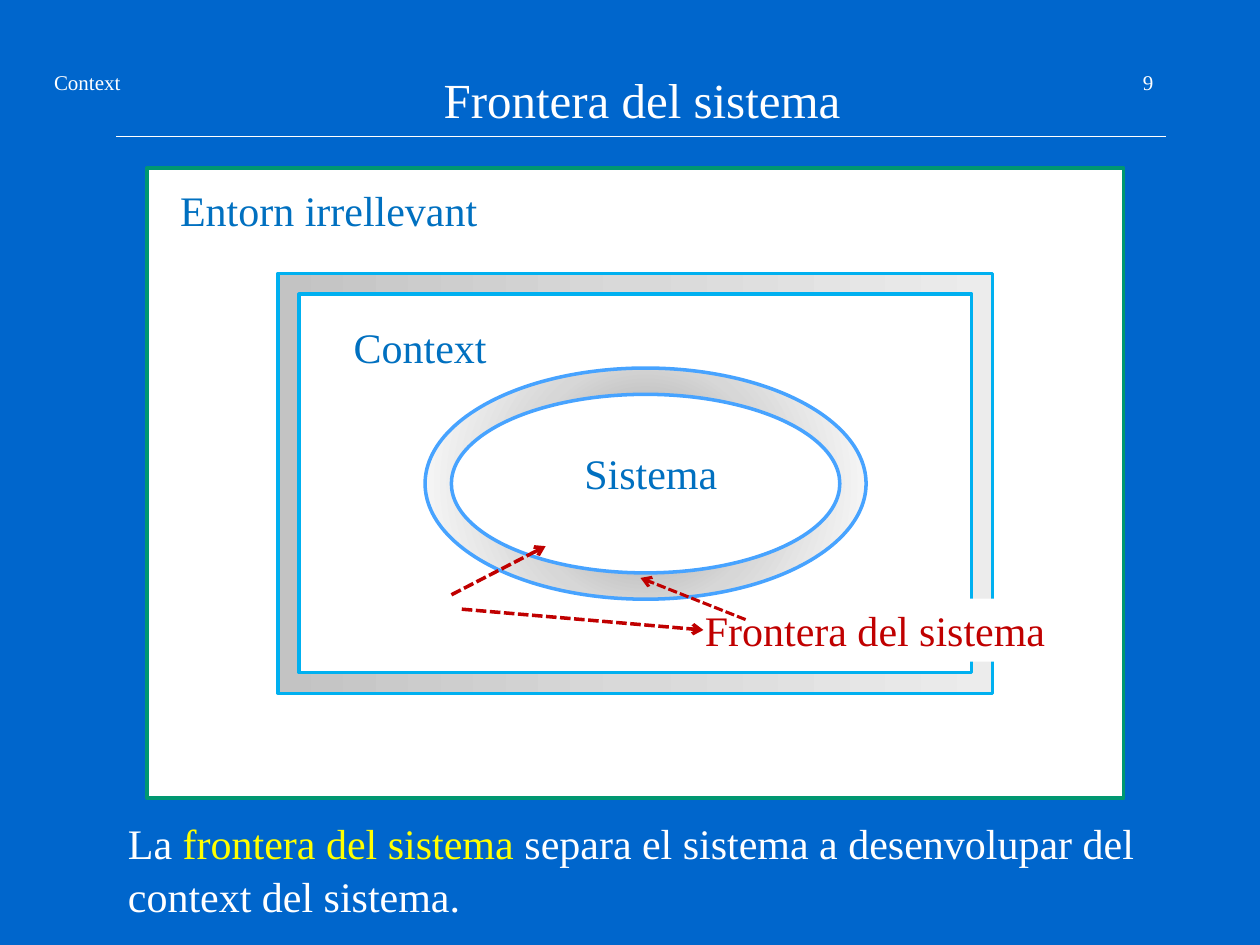
from pptx import Presentation
from pptx.dml.color import RGBColor
from pptx.enum.dml import MSO_LINE
from pptx.enum.shapes import MSO_CONNECTOR, MSO_SHAPE
from pptx.enum.text import MSO_ANCHOR, MSO_AUTO_SIZE, PP_ALIGN
from pptx.oxml import parse_xml
from pptx.oxml.ns import nsdecls, qn
from pptx.util import Cm, Pt

FONT = "Times New Roman"
COLORS = {
    "background": "0066CC", "white": "FFFFFF", "panel": "009771",
    "context": "00B0F0", "system": "47A3FF", "label": "0070C0",
    "boundary": "C00000", "highlight": "FFFF00",
}
CONTEXT_STOPS = {0: "C3C3C3", 50: "D9D9D9", 100: "ECECEC"}
SYSTEM_STOPS = {0: "979797", 50: "D7D7D7", 100: "FFFFFF"}
LINEAR = '<a:lin ang="0" scaled="0"/>'
RADIAL = '<a:path path="circle"><a:fillToRect l="50000" t="50000" r="50000" b="50000"/></a:path>'


def color(name):
    """Return the named colour."""
    return RGBColor.from_string(COLORS[name])


def place(parent, left, top, width, height):
    """Return a box given relative to the corner of its parent box."""
    return parent[0] + left, parent[1] + top, width, height


def inset(box, margin):
    """Return the box shrunk by the margin on every side."""
    left, top, width, height = box
    return left + margin, top + margin, width - 2 * margin, height - 2 * margin


def write(frame, *pieces, size=24, align=PP_ALIGN.LEFT, wrap=False, spacing=1.0):
    """Fill a text frame with (text, colour name) pieces."""
    frame.word_wrap = wrap
    frame.auto_size = MSO_AUTO_SIZE.NONE
    frame.vertical_anchor = MSO_ANCHOR.TOP
    para = frame.paragraphs[0]
    para.alignment = align
    para.line_spacing = spacing
    for text, name in pieces:
        span = para.add_run()
        span.text = text
        span.font.name = FONT
        span.font.size = Pt(size)
        span.font.color.rgb = color(name)


def add_text(shapes, box, *pieces, fill=None, **style):
    """Add a text box, with a solid fill if one is named."""
    text_box = shapes.add_textbox(*map(Cm, box))
    if fill:
        text_box.fill.solid()
        text_box.fill.fore_color.rgb = color(fill)
    write(text_box.text_frame, *pieces, **style)


def add_area(shapes, kind, box, outline, stops=None, direction=LINEAR):
    """Add an outlined shape, white or filled with a gradient."""
    area = shapes.add_shape(kind, *map(Cm, box))
    area.shadow.inherit = False
    area.line.color.rgb = color(outline)
    area.line.width = Pt(2)
    area.fill.solid()
    area.fill.fore_color.rgb = color("white")
    if stops:
        marks = "".join(
            f'<a:gs pos="{place * 1000}"><a:srgbClr val="{value}"/></a:gs>'
            for place, value in stops.items()
        )
        gradient = parse_xml(
            f'<a:gradFill {nsdecls("a")} rotWithShape="1">'
            f"<a:gsLst>{marks}</a:gsLst>{direction}</a:gradFill>"
        )
        properties = area.fill._xPr
        properties.replace(properties.find(qn("a:solidFill")), gradient)


def add_line(shapes, start, end, name, width, arrow=False):
    """Add a straight line, or a dashed arrow."""
    line = shapes.add_connector(MSO_CONNECTOR.STRAIGHT, *map(Cm, (*start, *end)))
    line.line.color.rgb = color(name)
    line.line.width = Pt(width)
    if arrow:
        line.line.dash_style = MSO_LINE.SQUARE_DOT
        line.line._get_or_add_ln().append(
            parse_xml(f'<a:tailEnd {nsdecls("a")} type="arrow"/>')
        )
    line._element.spPr.append(parse_xml(f'<a:effectLst {nsdecls("a")}/>'))


def add_header(page, box):
    """Place the section name, title, page number and rule."""
    left, top, width, height = box
    add_line(page.shapes, (left + 1.5, top + height), (left + width, top + height), "white", 0.75)
    add_text(page.shapes, place(box, 0, 0, 1.98, 0.76), ("Context", "white"), size=12)
    add_text(page.shapes, place(box, width - 3.81, 0, 3.81, 0.64), ("9", "white"),
             size=12, align=PP_ALIGN.RIGHT, wrap=True)
    title = page.shapes.title
    title.left, title.top, title.width, title.height = map(Cm, place(box, 7.85, 0, 8.59, 1.45))
    write(title.text_frame, ("Frontera del sistema", "white"), size=28)


def add_context(page, box):
    """Place the context frame around the system ring."""
    shapes = page.shapes.add_group_shape().shapes
    add_area(shapes, MSO_SHAPE.RECTANGLE, box, "context", CONTEXT_STOPS)
    add_area(shapes, MSO_SHAPE.RECTANGLE, inset(box, 0.42), "context")
    add_text(shapes, place(box, 1.27, 0.85, 3.23, 1.27), ("Context", "label"))
    ring = place(box, 2.96, 1.91, 8.89, 4.66)
    add_area(shapes, MSO_SHAPE.OVAL, ring, "system", SYSTEM_STOPS, RADIAL)
    add_area(shapes, MSO_SHAPE.OVAL, inset(ring, 0.53), "system")
    add_text(shapes, place(box, 5.92, 3.39, 3.23, 1.27), ("Sistema", "label"))


def add_diagram(page, box):
    """Place the environment panel, its context and the boundary arrows."""
    add_area(page.shapes, MSO_SHAPE.RECTANGLE, box, "panel")
    add_context(page, place(box, 2.65, 2.12, 14.4, 8.47))
    add_text(page.shapes, place(box, 0.42, 0.21, 6.55, 1.27), ("Entorn irrellevant", "label"))
    add_text(page.shapes, place(box, 11, 8.68, 7.44, 1.27),
             ("Frontera del sistema", "boundary"), fill="white")
    arrows = [
        ((12.07, 9.1), (9.95, 8.26), 1.75),
        ((6.14, 8.6), (8.04, 7.62), 2),
        ((6.35, 8.89), (11.22, 9.31), 2),
    ]
    for start, end, width in arrows:
        add_line(page.shapes, place(box, *start, 0, 0)[:2], place(box, *end, 0, 0)[:2],
                 "boundary", width, arrow=True)


def add_definition(page, box):
    """Place the sentence that defines the boundary."""
    add_text(page.shapes, box, ("La ", "white"), ("frontera del sistema", "highlight"),
             (" separa el sistema a desenvolupar del context del sistema.", "white"),
             wrap=True, spacing=1.05)


def main():
    """Build and save the deck."""
    deck = Presentation()
    deck.slide_width, deck.slide_height = Cm(25.4), Cm(19.05)
    page = deck.slides.add_slide(deck.slide_layouts[5])
    page.background.fill.solid()
    page.background.fill.fore_color.rgb = color("background")
    add_header(page, (0.84, 1.27, 22.66, 1.48))
    add_diagram(page, (2.96, 3.39, 19.69, 12.7))
    add_definition(page, (2.33, 16.3, 22.43, 2.31))
    deck.save("out.pptx")


if __name__ == "__main__":
    main()
